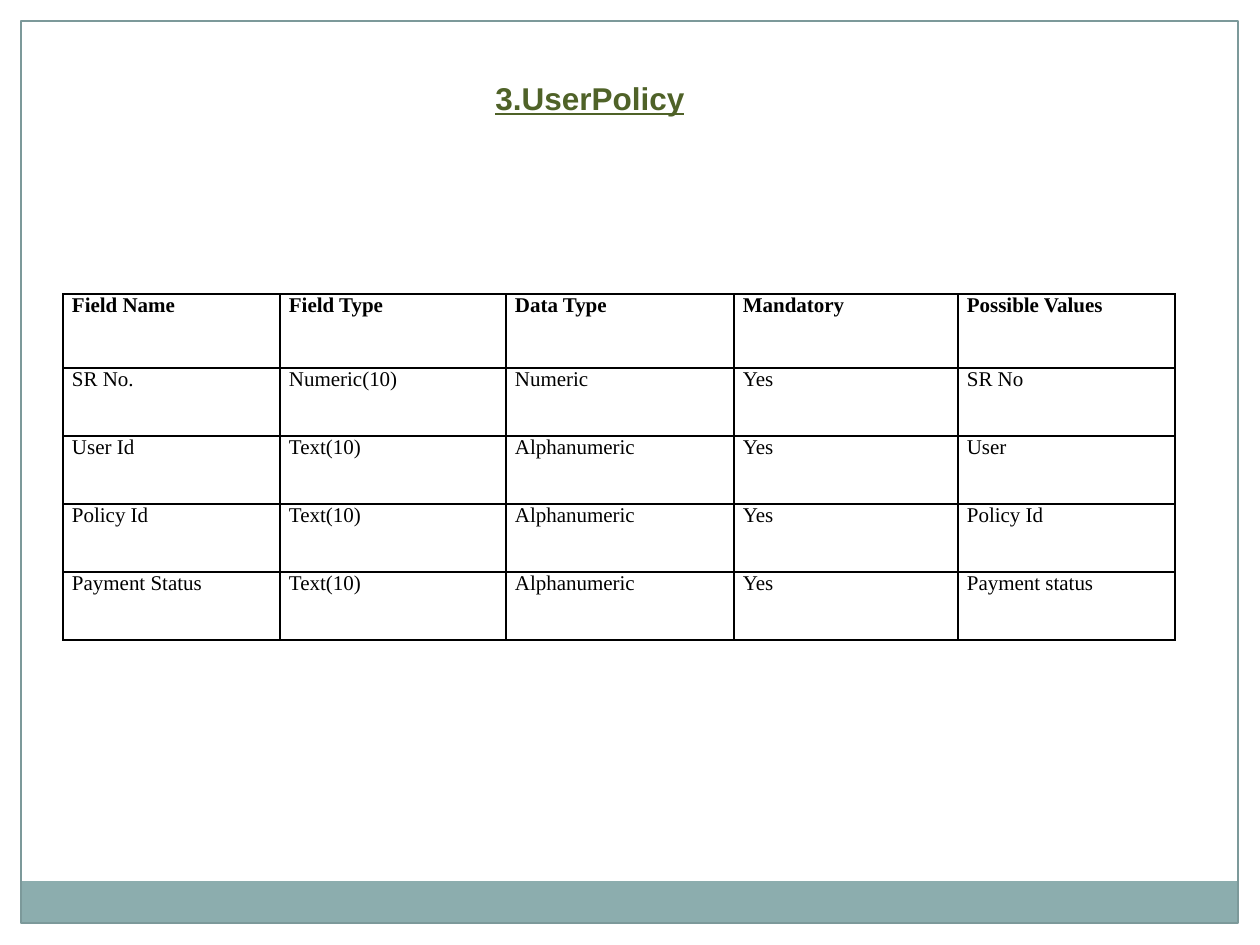
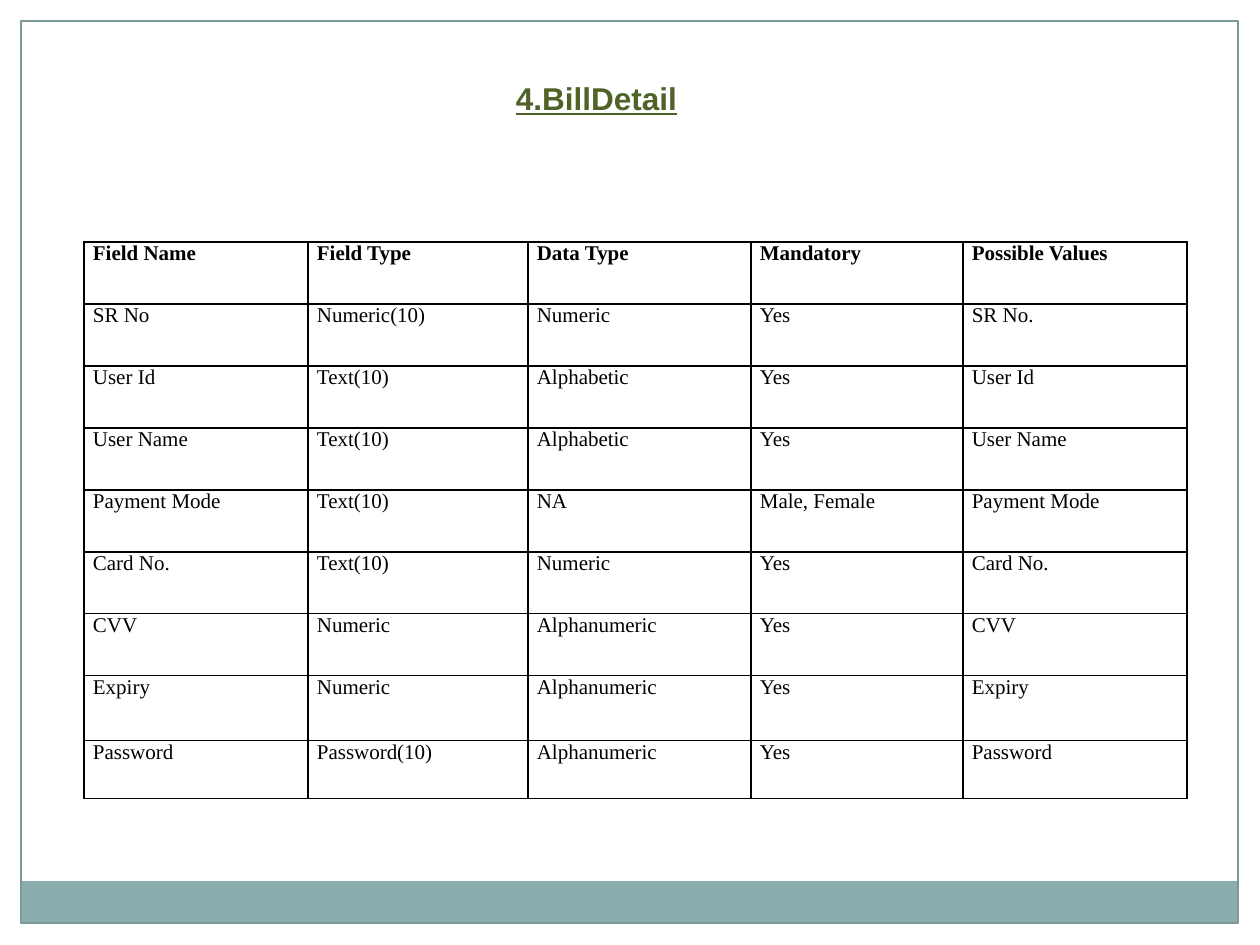
from pptx import Presentation, util as u
from pptx.dml.color import RGBColor
from pptx.enum import shapes, text
from pptx.oxml import parse_xml
from pptx.oxml.ns import nsdecls

WIDE, HIGH, EDGE = 1260, 945, 21
WHITE, BLACK, TEAL, GREY, GREEN = "FFFFFF", "000000", "8CADAE", "7C999A", "4F6228"
HEAD = ["Field Name", "Field Type", "Data Type", "Mandatory", "Possible Values"]

BANDS = [
    ((0, 0, WIDE, EDGE), WHITE, None),
    ((WIDE - EDGE, 0, EDGE, HIGH), WHITE, None),
    ((0, 0, EDGE, HIGH), WHITE, None),
    ((EDGE, 881, 1217, 43), TEAL, None),
    ((EDGE, EDGE, 1217, 902), None, GREY),
]

PAGES = [
    {
        "title": "3.UserPolicy", "box": (473, 73, 225, 50),
        "at": (63, 294), "cols": [217, 226, 228, 224, 217],
        "rows": [74] + [68] * 4,
        "cells": [
            HEAD,
            ["SR No.", "Numeric(10)", "Numeric", "Yes", "SR No"],
            ["User Id", "Text(10)", "Alphanumeric", "Yes", "User"],
            ["Policy Id", "Text(10)", "Alphanumeric", "Yes", "Policy Id"],
            ["Payment Status", "Text(10)", "Alphanumeric", "Yes", "Payment status"],
        ],
    },
    {
        "title": "4.BillDetail", "box": (494, 73, 196, 50),
        "at": (84, 242), "cols": [224, 220, 223, 212, 224],
        "rows": [62] * 7 + [65, 58],
        "cells": [
            HEAD,
            ["SR No", "Numeric(10)", "Numeric", "Yes", "SR No."],
            ["User Id", "Text(10)", "Alphabetic", "Yes", "User Id"],
            ["User Name", "Text(10)", "Alphabetic", "Yes", "User Name"],
            ["Payment Mode", "Text(10)", "NA", "Male, Female", "Payment Mode"],
            ["Card No.", "Text(10)", "Numeric", "Yes", "Card No."],
            ["CVV", "Numeric", "Alphanumeric", "Yes", "CVV"],
            ["Expiry", "Numeric", "Alphanumeric", "Yes", "Expiry"],
            ["Password", "Password(10)", "Alphanumeric", "Yes", "Password"],
        ],
    },
]


def px(n):
    return u.Emu(round(n * 914400 / 126))


def rgb(code):
    return RGBColor.from_string(code)


def write(frame, words, size=12, face="Times New Roman", color=BLACK,
          bold=False, under=None, align=None, indent=0):
    para = frame.paragraphs[0]
    para.alignment = align
    if indent:
        para._p.get_or_add_pPr().set("indent", str(px(indent)))
    run = para.add_run()
    run.text = words
    font = run.font
    font.size, font.name, font.bold, font.underline = u.Pt(size), face, bold, under
    font.color.rgb = rgb(color)


def band(slide, box, fill, line):
    rect = slide.shapes.add_shape(shapes.MSO_SHAPE.RECTANGLE, *map(px, box))
    rect.shadow.inherit = False
    if fill:
        rect.fill.solid()
        rect.fill.fore_color.rgb = rgb(fill)
    else:
        rect.fill.background()
    if line:
        rect.line.color.rgb = rgb(line)
        rect.line.width = u.Pt(0.75)
    else:
        rect.line.fill.background()


def border(cell):
    props = cell._tc.get_or_add_tcPr()
    for spot, side in enumerate("LRTB"):
        props.insert(spot, parse_xml(
            f'<a:ln{side} {nsdecls("a")} w="{u.Pt(1)}"><a:solidFill>'
            f'<a:srgbClr val="{BLACK}"/></a:solidFill></a:ln{side}>'))


def grid(slide, at, cols, rows, cells):
    size = sum(cols), sum(rows)
    table = slide.shapes.add_table(len(rows), len(cols), *map(px, at + size)).table
    table.first_row = table.horz_banding = False
    for col, width in zip(table.columns, cols):
        col.width = px(width)
    for r, (row, height) in enumerate(zip(table.rows, rows)):
        row.height = px(height)
        for cell, words in zip(row.cells, cells[r]):
            cell.margin_left = cell.margin_right = px(9)
            cell.margin_top = cell.margin_bottom = 0
            cell.fill.background()
            border(cell)
            write(cell.text_frame, words, bold=r == 0)


def title(slide, words, box):
    frame = slide.shapes.add_textbox(*map(px, box)).text_frame
    frame.word_wrap = False
    frame.auto_size = text.MSO_AUTO_SIZE.SHAPE_TO_FIT_TEXT
    write(frame, words, size=18, face="Arial", color=GREEN, bold=True,
          under=True, align=text.PP_ALIGN.CENTER, indent=9)


def main():
    deck = Presentation()
    deck.slide_width, deck.slide_height = px(WIDE), px(HIGH)
    for page in PAGES:
        slide = deck.slides.add_slide(deck.slide_layouts[6])
        for part in BANDS:
            band(slide, *part)
        grid(slide, page["at"], page["cols"], page["rows"], page["cells"])
        title(slide, page["title"], page["box"])
    deck.save("out.pptx")


if __name__ == "__main__":
    main()
